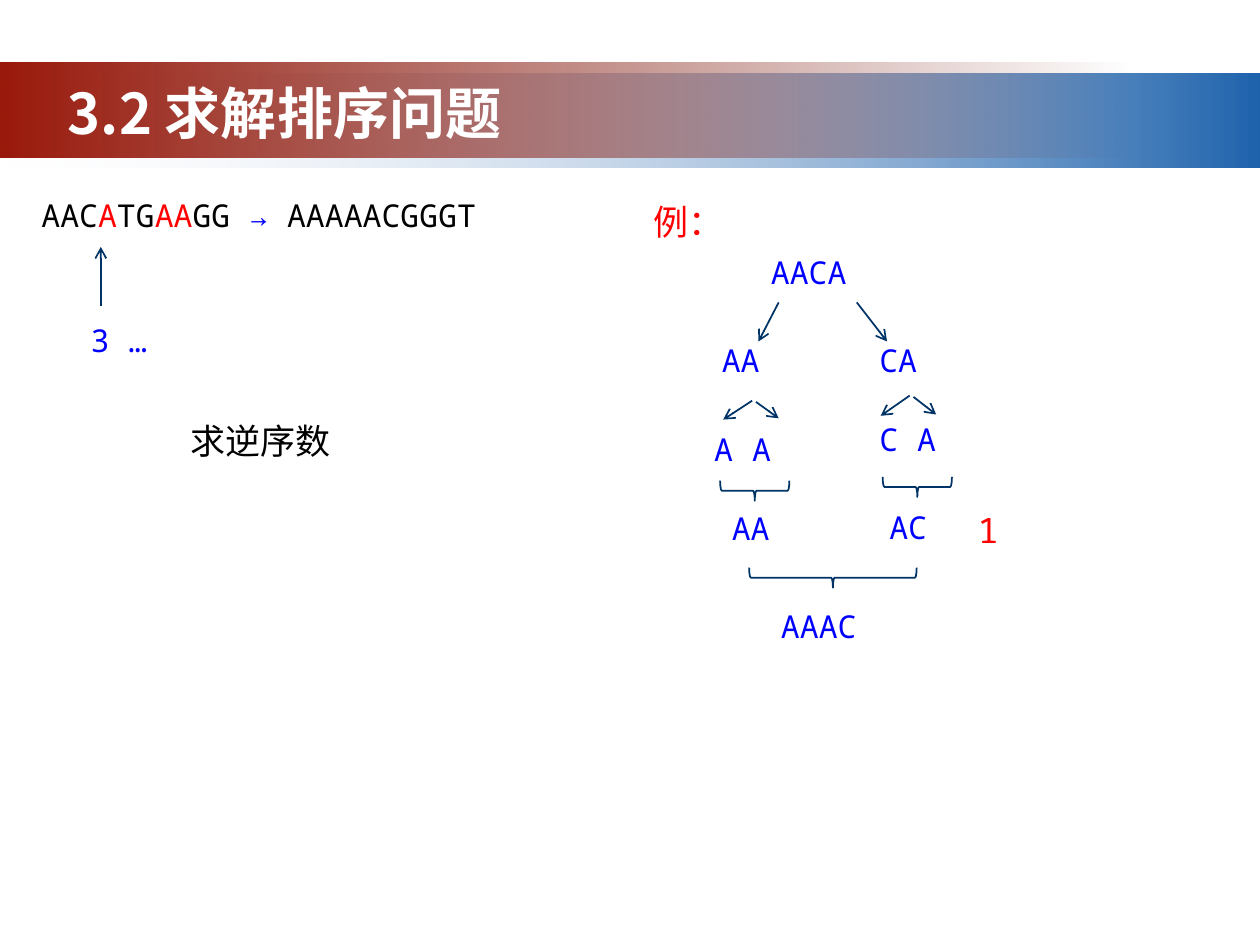
from typing import NamedTuple

import lxml.etree
import pptx
import pptx.dml.color
import pptx.enum.shapes
import pptx.enum.text
import pptx.oxml.ns
import pptx.util

COLS, ROWS = 100, 75  # square cells, a tenth of an inch each
CELL = pptx.util.Inches(0.1)
MONO, CJK = "Noto Sans Mono", "Noto Sans CJK SC"
BLACK, RED, BLUE, WHITE, NAVY = "000000", "FF0000", "0000FF", "FFFFFF", "003366"
qn = pptx.oxml.ns.qn


class Run(NamedTuple):
    text: str
    color: str = BLUE


class Label(NamedTuple):
    col: float
    row: float
    width: float
    runs: list[Run]
    height: float = 4.7
    font: str = MONO
    size: int = 18
    bold: bool = False
    pad: float = 0  # top and bottom inset
    middle: bool = False


class Arrow(NamedTuple):
    col1: float
    row1: float
    col2: float
    row2: float


class Brace(NamedTuple):
    center: float
    row: float
    span: float


class Stop(NamedTuple):
    color: str
    opaque: bool


def cells(n: float) -> int:
    return round(n * CELL)


def rgb(color: str) -> pptx.dml.color.RGBColor:
    return pptx.dml.color.RGBColor.from_string(color)


def add_band(s, row: float, width: float, stops: list[Stop]) -> None:
    sp = s.shapes.add_shape(pptx.enum.shapes.MSO_SHAPE.RECTANGLE,
                            0, cells(row), cells(width), cells(7.5))
    sp.shadow.inherit = False
    sp.line.fill.background()
    sp.fill.gradient()
    sp.fill.gradient_angle = 0
    for target, stop in zip(sp.fill.gradient_stops, stops):
        target.color.rgb = rgb(stop.color)
    for clr, stop in zip(sp._element.spPr.iter(qn("a:srgbClr")), stops):
        if not stop.opaque:
            lxml.etree.SubElement(clr, qn("a:alpha")).set("val", "0")


def add_label(s, label: Label) -> None:
    sp = s.shapes.add_textbox(cells(label.col), cells(label.row),
                              cells(label.width), cells(label.height))
    tf = sp.text_frame
    tf.word_wrap = True
    tf.margin_top = tf.margin_bottom = cells(label.pad)
    anchor = pptx.enum.text.MSO_ANCHOR
    tf.vertical_anchor = anchor.MIDDLE if label.middle else anchor.TOP
    p = tf.paragraphs[0]
    for run in label.runs:
        r = p.add_run()
        r.text = run.text
        r.font.name = label.font
        r.font.size = pptx.util.Pt(label.size)
        r.font.bold = label.bold
        r.font.color.rgb = rgb(run.color)
        ea = lxml.etree.SubElement(r.font._element, qn("a:ea"))
        ea.set("typeface", label.font)


def add_arrow(s, arrow: Arrow) -> None:
    sp = s.shapes.add_connector(pptx.enum.shapes.MSO_CONNECTOR.STRAIGHT,
                                *(cells(n) for n in arrow))
    sp.line.color.rgb = rgb(NAVY)
    sp.line.width = pptx.util.Pt(1)
    ln = sp.line._get_or_add_ln()
    lxml.etree.SubElement(ln, qn("a:tailEnd")).set("type", "arrow")
    lxml.etree.SubElement(sp._element.spPr, qn("a:effectLst"))


def add_brace(s, brace: Brace) -> None:
    # A right brace turned a quarter so that it points down
    depth = 1.6
    sp = s.shapes.add_shape(pptx.enum.shapes.MSO_SHAPE.RIGHT_BRACE,
                            cells(brace.center - depth / 2),
                            cells(brace.row - brace.span / 2),
                            cells(depth), cells(brace.span))
    sp.rotation = 90
    sp.shadow.inherit = False
    sp.fill.background()
    sp.line.color.rgb = rgb(NAVY)
    sp.line.width = pptx.util.Pt(1)


LABELS = [
    # Title
    Label(4.4, 5.8, 80.8, [Run("3.2 求解排序问题", WHITE)], 6.2, CJK, 32, True, 0.5, True),
    # Sequence and its inversions
    Label(2.3, 15.6, 46.9, [
        Run("AAC", BLACK), Run("A", RED), Run("TG", BLACK), Run("AA", RED),
        Run("GG", BLACK), Run(" → "), Run("AAAAACGGGT", BLACK)]),
    Label(6.2, 25, 7.8, [Run("3 …")], 4, pad=0.5),
    Label(14.1, 32.8, 14.8, [Run("求逆序数", BLACK)], 4.4, CJK, 20, pad=0.5),
    # Merge sort example
    Label(50.9, 15.4, 10.2, [Run("例：", RED)], 4.4, CJK, 20, pad=0.5),
    Label(60.2, 20.1, 11.7, [Run("AACA")]),
    Label(56.3, 27.1, 7.8, [Run("AA")]),
    Label(68.8, 27.1, 6.2, [Run("CA")]),
    Label(55.7, 34.1, 7.8, [Run("A A")]),
    Label(68.8, 33.3, 7.8, [Run("C A")]),
    Label(57.1, 40.4, 7.8, [Run("AA")]),
    Label(69.6, 40.3, 7.8, [Run("AC")]),
    Label(76.6, 39.9, 10.2, [Run("1", RED)], 4.4, size=20, pad=0.5),
    Label(61, 48.2, 11.7, [Run("AAAC")]),
]

ARROWS = [
    Arrow(8, 24.3, 8, 19.6),
    Arrow(61.8, 24, 60.2, 27.1), Arrow(68, 24, 70.4, 27.1),
    Arrow(59.7, 31.8, 57.4, 33.3), Arrow(60, 31.9, 61.8, 33.2),
    Arrow(72.2, 31.4, 69.9, 33), Arrow(72.5, 31.5, 74.3, 32.9),
]

BRACES = [Brace(59.9, 38.95, 5.5), Brace(72.8, 38.65, 5.5), Brace(66.1, 45.85, 13.3)]


def main() -> None:
    prs = pptx.Presentation()
    prs.slide_width, prs.slide_height = cells(COLS), cells(ROWS)
    s = prs.slides.add_slide(prs.slide_layouts[6])
    # Header bands, blue under red
    add_band(s, 5.8, COLS, [Stop("F1F2F7", False), Stop("1F63AD", True)])
    add_band(s, 5, 0.9 * COLS, [Stop("99190B", True), Stop("6D1208", False)])
    for label in LABELS:
        add_label(s, label)
    for arrow in ARROWS:
        add_arrow(s, arrow)
    for brace in BRACES:
        add_brace(s, brace)
    prs.save("out.pptx")


if __name__ == "__main__":
    main()
